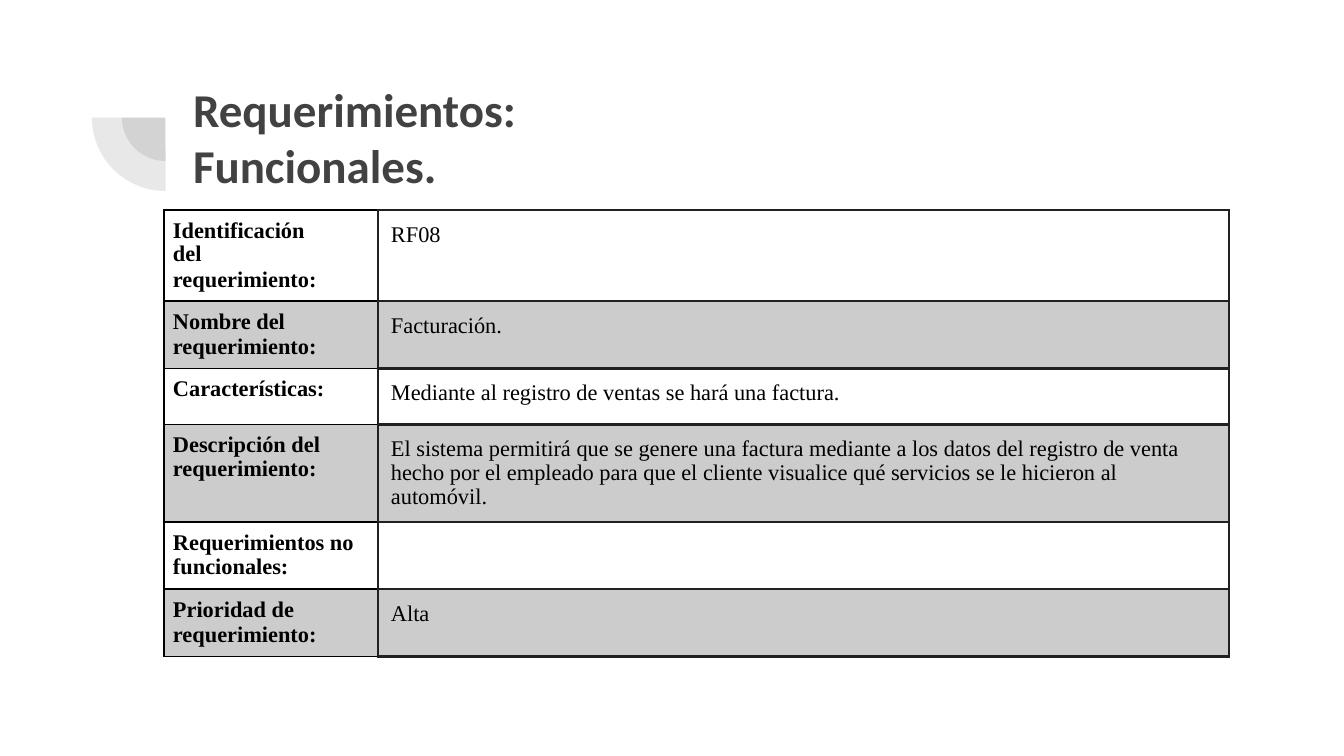
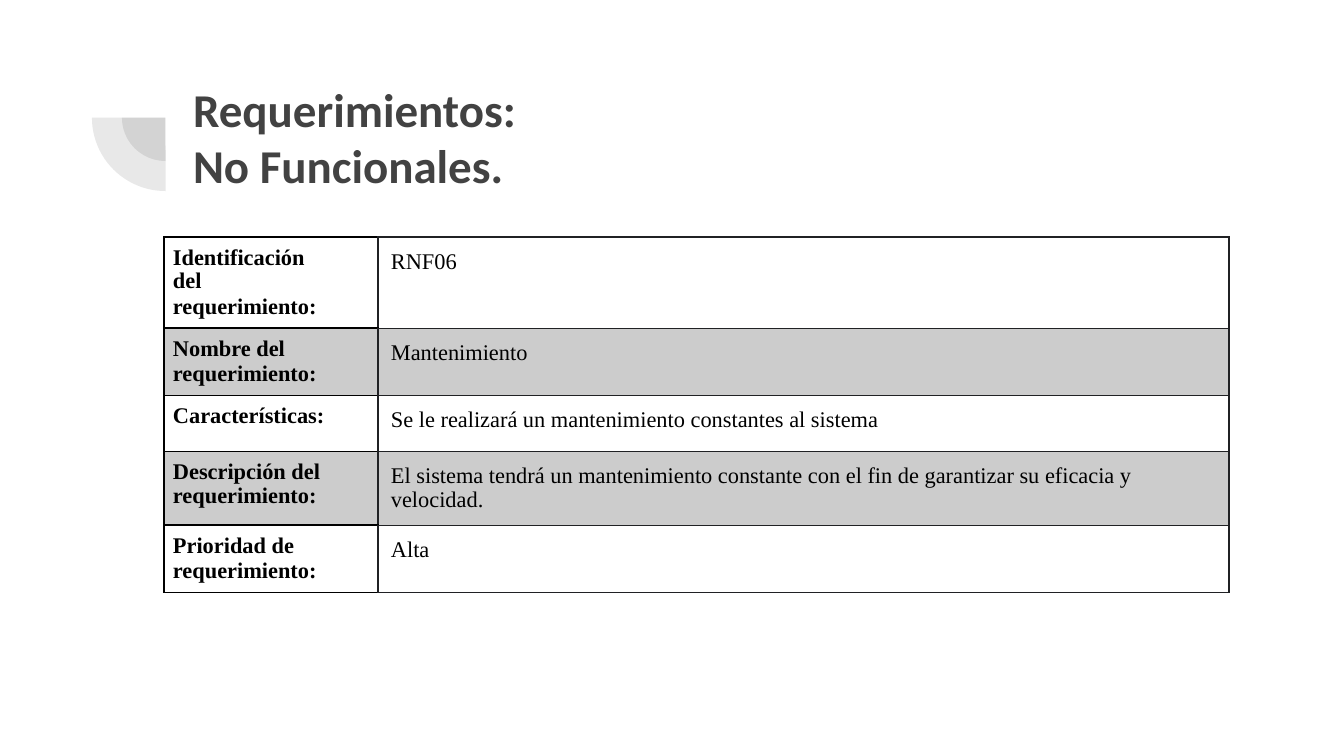
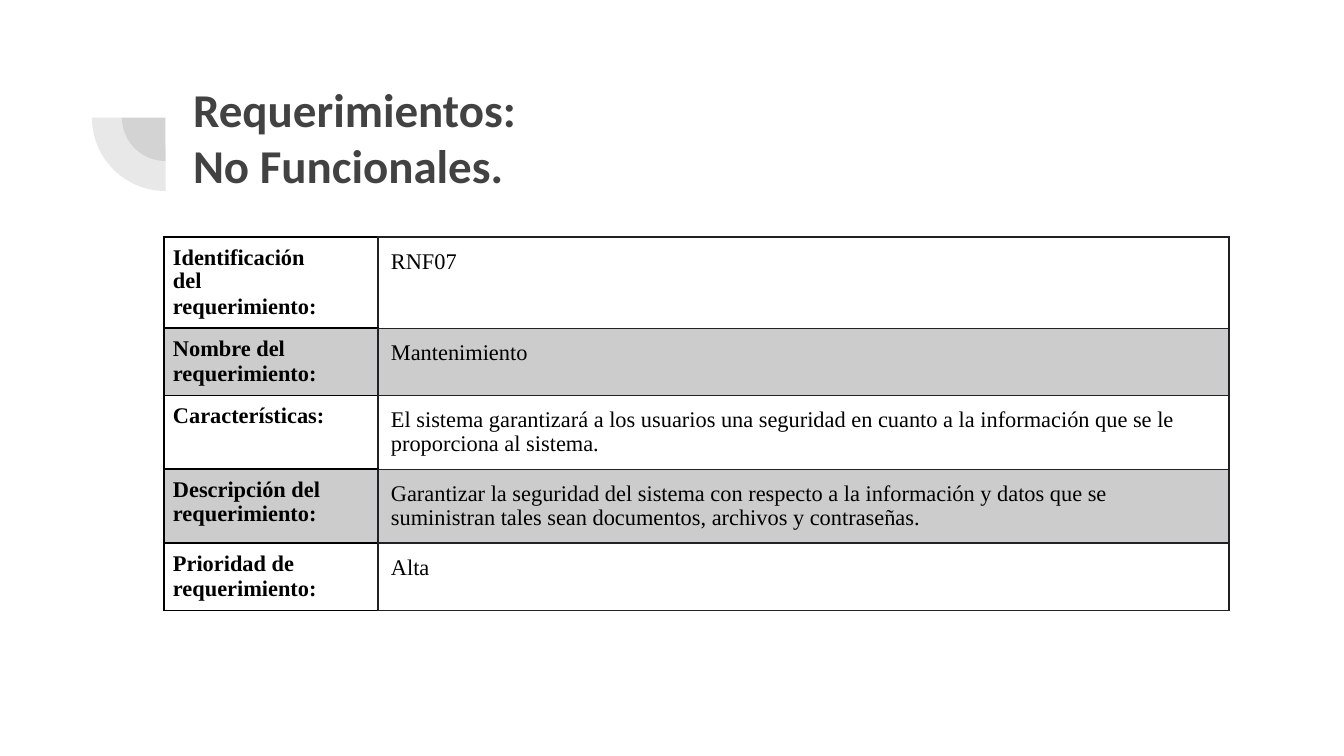
from dataclasses import dataclass

from lxml.etree import SubElement
from pptx import Presentation
from pptx.dml.color import RGBColor
from pptx.enum.shapes import MSO_SHAPE as Preset
from pptx.enum.text import MSO_ANCHOR as Anchor, MSO_AUTO_SIZE as AutoSize, PP_ALIGN as Align
from pptx.oxml.ns import qn
from pptx.util import Pt

PAGE_WIDTH, PAGE_HEIGHT = 1344, 756
TITLE_ONLY = 5


@dataclass(frozen=True)
class Theme:
    ink: str = "424242"
    text: str = "000000"
    rule: str = "202124"
    band: str = "CCCCCC"
    title_font: str = "Calibri"
    table_font: str = "Times New Roman"
    title_size: float = 25.2
    table_size: float = 12
    line_spacing: float = 0.96
    pie_opacity: int = 12


THEME = Theme()

TITLE_AREA = (180, 63, 1034, 147)
PIES = ((122, 74, 87), (92, 44, 147))
TABLE_LEFT = 164
COLUMNS = (214, 851)
ROW_HEIGHT = 56
LABEL_INSET, VALUE_INSET = 9, 13
NARROWING = 50

IDENTIFIER = ("Identificación del", "requerimiento:")
NAME = ("Nombre del", "requerimiento:")
FEATURES = ("Características:",)
DESCRIPTION = ("Descripción del requerimiento:",)
NON_FUNCTIONAL = ("Requerimientos no funcionales:",)
PRIORITY = ("Prioridad de", "requerimiento:")

REQUIREMENTS = (
    {
        "title": ("Requerimientos:", "Funcionales."),
        "top": 210,
        "divider": 1.5,
        "grid": 1.5,
        "rows": (
            (IDENTIFIER, "RF08"),
            (NAME, "Facturación."),
            (FEATURES, "Mediante al registro de ventas se hará una factura."),
            (DESCRIPTION, "El sistema permitirá que se genere una factura mediante a los "
             "datos del registro de venta hecho por el empleado para que el cliente "
             "visualice qué servicios se le hicieron al automóvil."),
            (NON_FUNCTIONAL, ""),
            (PRIORITY, "Alta"),
        ),
    },
    {
        "title": ("Requerimientos:", "No Funcionales."),
        "top": 237,
        "divider": 1,
        "grid": 0.75,
        "rows": (
            (IDENTIFIER, "RNF06"),
            (NAME, "Mantenimiento"),
            (FEATURES, "Se le realizará un mantenimiento constantes al sistema"),
            (DESCRIPTION, "El sistema tendrá un mantenimiento constante con el fin de "
             "garantizar su eficacia y velocidad."),
            (PRIORITY, "Alta"),
        ),
    },
    {
        "title": ("Requerimientos:", "No Funcionales."),
        "top": 237,
        "divider": 1,
        "grid": 0.75,
        "rows": (
            (IDENTIFIER, "RNF07"),
            (NAME, "Mantenimiento"),
            (FEATURES, "El sistema garantizará a los usuarios una seguridad en cuanto a "
             "la información que se le proporciona al sistema."),
            (DESCRIPTION, "Garantizar la seguridad del sistema con respecto a la "
             "información y datos que se suministran tales sean documentos, archivos y "
             "contraseñas."),
            (PRIORITY, "Alta"),
        ),
    },
)


def px(length):
    return round(length * 9144000 / PAGE_WIDTH)


def set_all(target, values):
    for name, value in values.items():
        setattr(target, name, value)


def set_insets(target, inset):
    set_all(target, {f"margin_{side}": px(inset) for side in ("left", "top", "right", "bottom")})


def write(frame, lines, font, color, para_format):
    """Write one paragraph per line, all in the same format."""
    for index, line in enumerate(lines):
        para = frame.add_paragraph() if index else frame.paragraphs[0]
        set_all(para, para_format)
        if line:
            span = para.add_run()
            span.text = line
            set_all(span.font, font)
            span.font.color.rgb = RGBColor.from_string(color)


def add_pie(page, left, top, size):
    pie = page.shapes.add_shape(Preset.PIE, px(left), px(top), px(size), px(size))
    pie.adjustments[0], pie.adjustments[1] = 107.93, 162
    pie.rotation = 270
    pie.shadow.inherit = False
    pie.line.fill.background()
    pie.fill.solid()
    pie.fill.fore_color.rgb = RGBColor.from_string(THEME.ink)
    color = pie.fill._xPr.find(".//" + qn("a:srgbClr"))
    SubElement(color, qn("a:alpha"), val=str(THEME.pie_opacity * 1000))
    return pie


def decorate(layout, page):
    """Draw the quarter rings and hand them to the layout that all pages share."""
    for left, top, size in PIES:
        layout.shapes.element.append(add_pie(page, left, top, size).element)


def add_title(page, lines):
    box = page.shapes.title
    set_all(box, dict(zip(("left", "top", "width", "height"), map(px, TITLE_AREA))))
    frame = box.text_frame
    set_all(frame, {"word_wrap": True, "auto_size": AutoSize.NONE,
                    "vertical_anchor": Anchor.MIDDLE})
    set_insets(frame, VALUE_INSET)
    font = {"name": THEME.title_font, "size": Pt(THEME.title_size), "bold": True}
    write(frame, lines, font, THEME.ink, {"alignment": Align.LEFT, "space_before": Pt(0)})


def set_borders(cell, borders):
    """Draw the left, right, top and bottom borders, given as (colour, points)."""
    properties = cell._tc.get_or_add_tcPr()
    for side, (color, width) in zip("LRTB", borders):
        line = SubElement(properties, qn(f"a:ln{side}"), w=str(Pt(width)))
        fill = SubElement(line, qn("a:solidFill"))
        SubElement(fill, qn("a:srgbClr"), val=color)


def fill_cell(cell, lines, inset, bold, borders, banded):
    set_insets(cell, inset)
    set_borders(cell, borders)
    if banded:
        cell.fill.solid()
        cell.fill.fore_color.rgb = RGBColor.from_string(THEME.band)
    else:
        cell.fill.background()
    font = {"name": THEME.table_font, "size": Pt(THEME.table_size), "bold": bold}
    write(cell.text_frame, lines, font, THEME.text, {"line_spacing": THEME.line_spacing})
    for para in cell.text_frame.paragraphs[1:]:
        set_all(para, {"space_before": Pt(0.3), "line_spacing": 1.0})


def add_requirement_table(page, top, rows, divider, grid):
    table = page.shapes.add_table(len(rows), len(COLUMNS), px(TABLE_LEFT), px(top),
                                  px(sum(COLUMNS)), px(ROW_HEIGHT * len(rows))).table
    set_all(table, {"first_row": False, "horz_banding": False})
    for column, width in zip(table.columns, COLUMNS):
        column.width = px(width)

    outline, split, inner = (THEME.text, 1), (THEME.rule, divider), (THEME.rule, grid)
    label_borders = (outline, split, outline, outline)
    value_borders = (split, inner, inner, inner)
    for index, (label, value) in enumerate(rows):
        banded = index % 2 == 1
        label_cell, value_cell = table.cell(index, 0), table.cell(index, 1)
        table.rows[index].height = px(ROW_HEIGHT)
        fill_cell(label_cell, label, LABEL_INSET, True, label_borders, banded)
        fill_cell(value_cell, [value], VALUE_INSET, False, value_borders, banded)

    identifier = table.cell(0, 0).text_frame.paragraphs[0]
    identifier._p.get_or_add_pPr().set("marR", str(px(NARROWING)))


def main():
    deck = Presentation()
    set_all(deck, {"slide_width": px(PAGE_WIDTH), "slide_height": px(PAGE_HEIGHT)})
    layout = deck.slide_layouts[TITLE_ONLY]
    for index, requirement in enumerate(REQUIREMENTS):
        page = deck.slides.add_slide(layout)
        if index == 0:
            decorate(layout, page)
        add_title(page, requirement["title"])
        add_requirement_table(page, requirement["top"], requirement["rows"],
                              requirement["divider"], requirement["grid"])
    deck.save("out.pptx")


if __name__ == "__main__":
    main()
